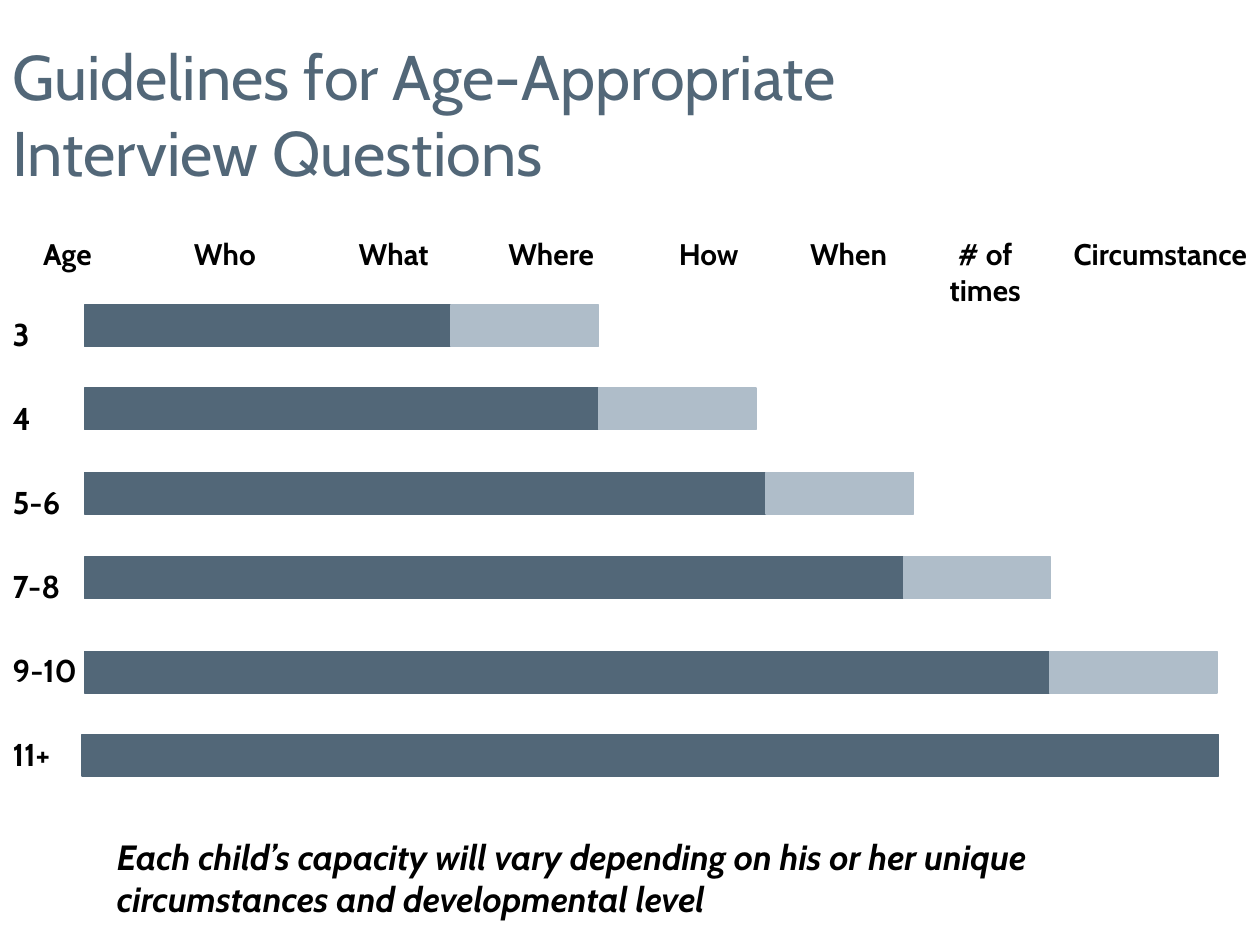
from pptx import Presentation
from pptx.dml.color import RGBColor
from pptx.enum.shapes import MSO_SHAPE
from pptx.enum.text import MSO_ANCHOR, PP_ALIGN
from pptx.util import Inches, Pt

SLATE = RGBColor(0x52, 0x67, 0x78)
MIST = RGBColor(0xAF, 0xBD, 0xC9)
BLACK = RGBColor(0, 0, 0)
FONT = "Cabin"

QUESTIONS = [("Age", 1.07), ("Who", 1.43), ("What", 1.25), ("Where", 1.25),
             ("How", 1.25), ("When", 0.97), ("# of times", 1.2), ("Circumstance", 1.58)]
AGES = ["3", "4", "5-6", "7-8", "9-10", "11+"]
# Each row: top, left, dark width, light left, light width
BARS = [
    (2.42, 0.67, 2.92, 3.58, 1.17),
    (3.08, 0.67, 4.08, 4.75, 1.25),
    (3.75, 0.67, 5.5, 6.08, 1.17),
    (4.42, 0.67, 6.5, 7.17, 1.17),
    (5.17, 0.67, 7.75, 8.33, 1.33),
    (5.83, 0.65, 9.02, None, None),
]
BAR_HEIGHT = 0.33


def add_text(paragraph, text, size, color=BLACK, bold=False, italic=False):
    """Add one formatted run to a paragraph."""
    run = paragraph.add_run()
    run.text = text
    run.font.name = FONT
    run.font.size = Pt(size)
    run.font.color.rgb = color
    run.font.bold = bold
    run.font.italic = italic


def add_text_box(slide, box, lines, size, **style):
    """Place a wrapping text box with one paragraph for each line."""
    frame = slide.shapes.add_textbox(*map(Inches, box)).text_frame
    frame.word_wrap = True
    for index, line in enumerate(lines):
        paragraph = frame.add_paragraph() if index else frame.paragraphs[0]
        add_text(paragraph, line, size, **style)


def add_plain_table(slide, box, rows, widths, size, alignment, anchor):
    """Place an unfilled table of bold labels in the given box."""
    table = slide.shapes.add_table(len(rows), len(widths), *map(Inches, box)).table
    table.first_row = False
    table.horz_banding = False
    for column, width in zip(table.columns, widths):
        column.width = Inches(width)
    for row_index, labels in enumerate(rows):
        for column_index, label in enumerate(labels):
            cell = table.cell(row_index, column_index)
            cell.fill.background()
            cell.vertical_anchor = anchor
            paragraph = cell.text_frame.paragraphs[0]
            paragraph.alignment = alignment
            add_text(paragraph, label, size, bold=True)


def add_bar(slide, box, color):
    """Place one solid bar."""
    shape = slide.shapes.add_shape(MSO_SHAPE.RECTANGLE, *map(Inches, box))
    shape.shadow.inherit = False
    shape.fill.solid()
    shape.fill.fore_color.rgb = color
    shape.line.color.rgb = color
    shape.line.width = Pt(0.75)


def add_age_bars(slide, bars):
    """Place the dark bar of every age and its light extension."""
    for top, left, width, light_left, light_width in bars:
        add_bar(slide, (left, top, width, BAR_HEIGHT), SLATE)
        if light_width:
            add_bar(slide, (light_left, top, light_width, BAR_HEIGHT), MIST)


def build_slide(presentation):
    """Build the interview guidelines slide."""
    slide = presentation.slides.add_slide(presentation.slide_layouts[6])
    add_text_box(slide, (0, 0.25, 9.75, 1.3),
                 ["Guidelines for Age-Appropriate", "Interview Questions"], 36, color=SLATE)
    names, widths = zip(*QUESTIONS)
    add_plain_table(slide, (0, 1.83, 10, 0.67), [names], widths, 17,
                    PP_ALIGN.CENTER, MSO_ANCHOR.TOP)
    add_plain_table(slide, (0, 2.33, 0.75, 4), [[age] for age in AGES], [0.75], 18,
                    PP_ALIGN.LEFT, MSO_ANCHOR.MIDDLE)
    add_age_bars(slide, BARS)
    add_text_box(slide, (0.83, 6.58, 8.42, 0.77),
                 ["Each child’s capacity will vary depending on his or her unique "
                  "circumstances and developmental level"], 20, bold=True, italic=True)


presentation = Presentation()
presentation.slide_width = Inches(10)
presentation.slide_height = Inches(7.5)
build_slide(presentation)
presentation.save("out.pptx")
